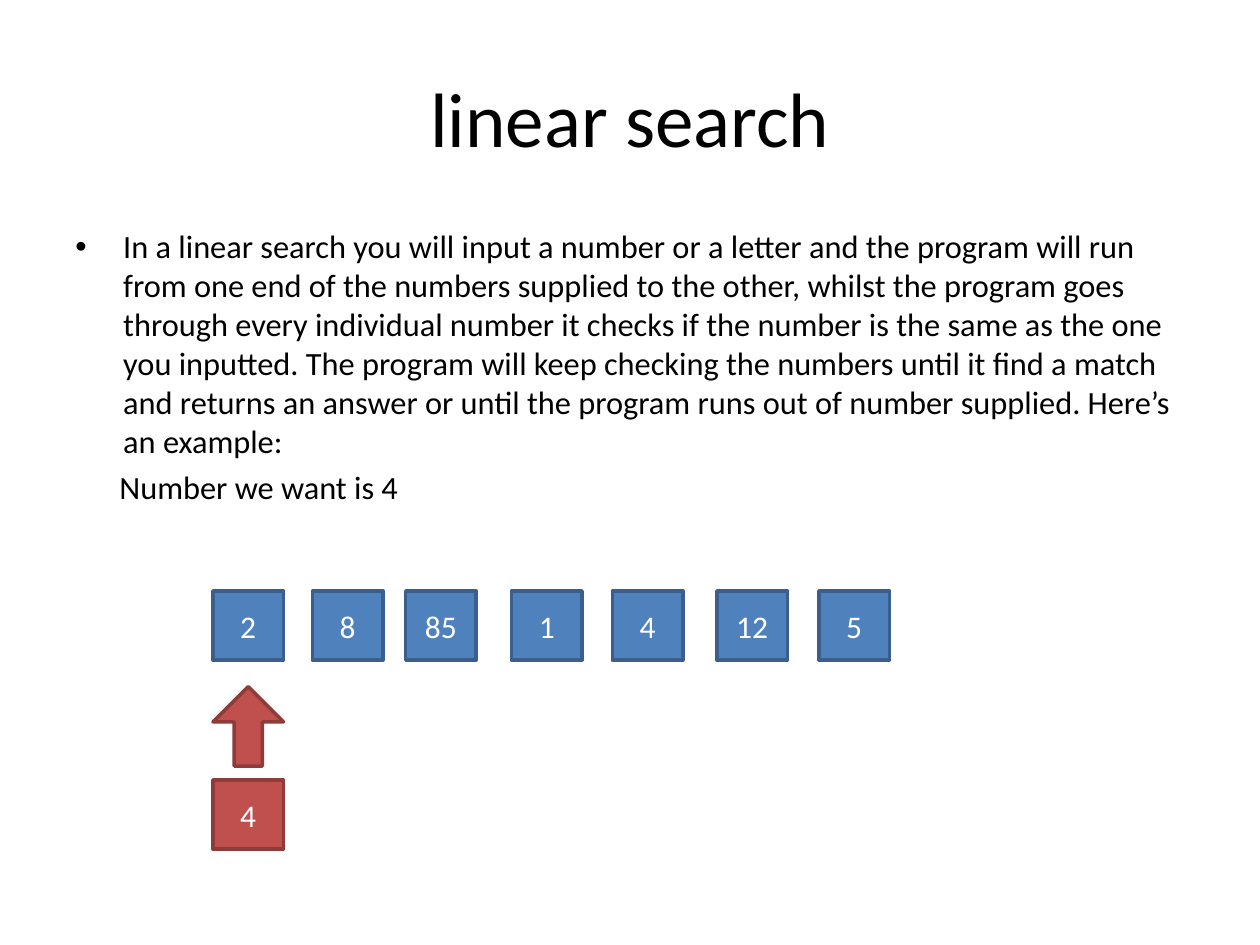
"""Build a slide that explains linear search with a row of numbers."""
from lxml import etree
from pptx import Presentation
from pptx.dml.color import RGBColor
from pptx.enum.shapes import MSO_SHAPE
from pptx.enum.text import MSO_ANCHOR, PP_ALIGN
from pptx.oxml.ns import qn
from pptx.util import Inches, Pt

RECTANGLE, UP_ARROW = MSO_SHAPE.RECTANGLE, MSO_SHAPE.UP_ARROW
MIDDLE, TOP = MSO_ANCHOR.MIDDLE, MSO_ANCHOR.TOP
CENTER, LEFT = PP_ALIGN.CENTER, PP_ALIGN.LEFT
TITLE_ONLY = 5

EXPLANATION = (
    "In a linear search you will input a number or a letter and the program "
    "will run from one end of the numbers supplied to the other, whilst the "
    "program goes through every individual number it checks if the number is "
    "the same as the one you inputted. The program will keep checking the "
    "numbers until it find a match and returns an answer or until the program "
    "runs out of number supplied. Here\u2019s an example:"
)


class SlideBuilder:
    """Hold the style and the current slide."""

    font = "Calibri"
    colors = {
        "text": "000000", "light": "FFFFFF",
        "list": "4F81BD", "list_line": "3A5F8C",
        "target": "C0504D", "target_line": "8E3B39",
    }

    def __init__(self, presentation):
        """Add a title-only slide."""
        layout = presentation.slide_layouts[TITLE_ONLY]
        self.slide = presentation.slides.add_slide(layout)

    def color(self, name):
        """Return a named colour."""
        return RGBColor.from_string(self.colors[name])

    def add_text(self, paragraph, text, size, color="text", **formats):
        """Fill a paragraph with one formatted run."""
        run = paragraph.add_run()
        run.text = text
        for name, value in {"name": self.font, "size": Pt(size)}.items():
            setattr(run.font, name, value)
        run.font.color.rgb = self.color(color)
        for name, value in formats.items():
            setattr(paragraph, name, value)

    def title(self, text, box):
        """Place and fill the title."""
        shape = self.slide.shapes.title
        for name, value in zip(("left", "top", "width", "height"), box):
            setattr(shape, name, Inches(value))
        shape.text_frame.vertical_anchor = MIDDLE
        self.add_text(shape.text_frame.paragraphs[0], text, 44, alignment=CENTER)

    def body(self, bullet_text, plain_text, box):
        """Add a bulleted paragraph followed by an indented one."""
        frame = self.slide.shapes.add_textbox(*map(Inches, box)).text_frame
        formats = {"word_wrap": True, "vertical_anchor": TOP,
                   "margin_right": Inches(0.05)}
        for name, value in formats.items():
            setattr(frame, name, value)
        spacing = {"alignment": LEFT, "line_spacing": Pt(22.2)}
        bullet, plain = frame.paragraphs[0], frame.add_paragraph()
        self.add_text(bullet, bullet_text, 18.5, **spacing)
        self.add_text(plain, plain_text, 18.5, space_before=Pt(4), **spacing)
        self.indent(bullet, 0.38, -0.38, "\u2022")
        self.indent(plain, 0.35, 0)

    def indent(self, paragraph, margin, first_line, bullet=None):
        """Set the indents and the bullet of a paragraph."""
        properties = paragraph._p.get_or_add_pPr()
        properties.set("marL", str(Inches(margin)))
        properties.set("indent", str(Inches(first_line)))
        if bullet:
            etree.SubElement(properties, qn("a:buFont")).set("typeface", "Arial")
            etree.SubElement(properties, qn("a:buChar")).set("char", bullet)
        else:
            etree.SubElement(properties, qn("a:buNone"))

    def block(self, kind, box, style, text=None):
        """Add an outlined shape, with a centred number if given."""
        shape = self.slide.shapes.add_shape(kind, *map(Inches, box))
        shape.shadow.inherit = False
        shape.fill.solid()
        shape.fill.fore_color.rgb = self.color(style)
        shape.line.color.rgb = self.color(style + "_line")
        shape.line.width = Pt(2)
        if text:
            shape.text_frame.vertical_anchor = MIDDLE
            self.add_text(shape.text_frame.paragraphs[0], text, 18, "light",
                          alignment=CENTER)
        return shape


def main():
    """Build and save the presentation."""
    presentation = Presentation()
    presentation.slide_width, presentation.slide_height = Inches(10), Inches(7.5)
    builder = SlideBuilder(presentation)
    builder.title("linear search", (0.5, 0.3, 9, 1.25))
    builder.body(EXPLANATION, "Number we want is 4", (0.5, 1.75, 9, 2.24))

    width, height, start = 0.56, 0.55, 1.69
    numbers = {"2": start, "8": 2.48, "85": 3.22, "1": 4.06,
               "4": 4.86, "12": 5.69, "5": 6.5}
    for number, left in numbers.items():
        builder.block(RECTANGLE, (left, 4.69, width, height), "list", number)
    arrow = builder.block(UP_ARROW, (start, 5.45, width, 0.63), "target")
    arrow.adjustments[0], arrow.adjustments[1] = 0.4, 0.5
    builder.block(RECTANGLE, (start, 6.19, width, height), "target", "4")
    presentation.save("out.pptx")


main()
